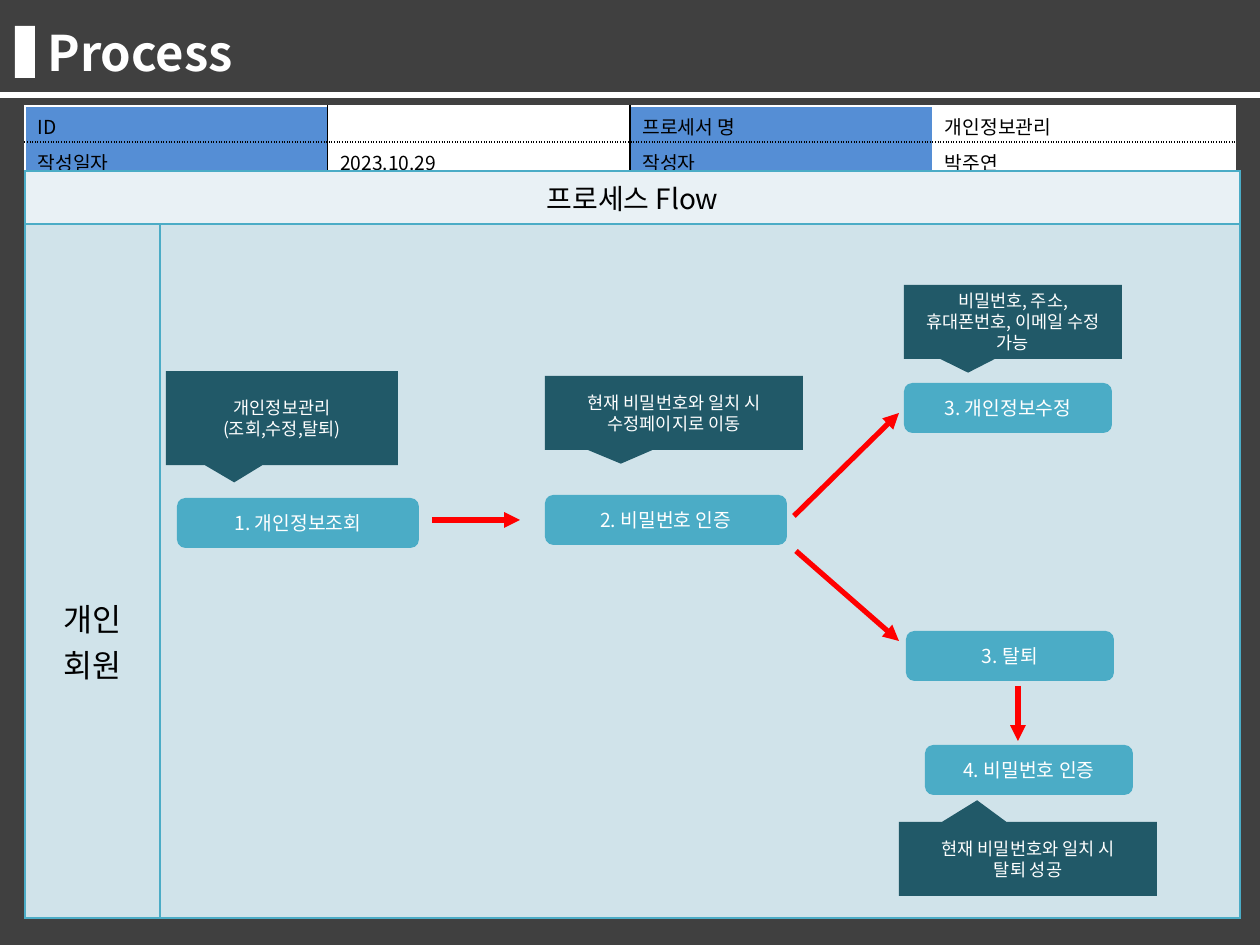
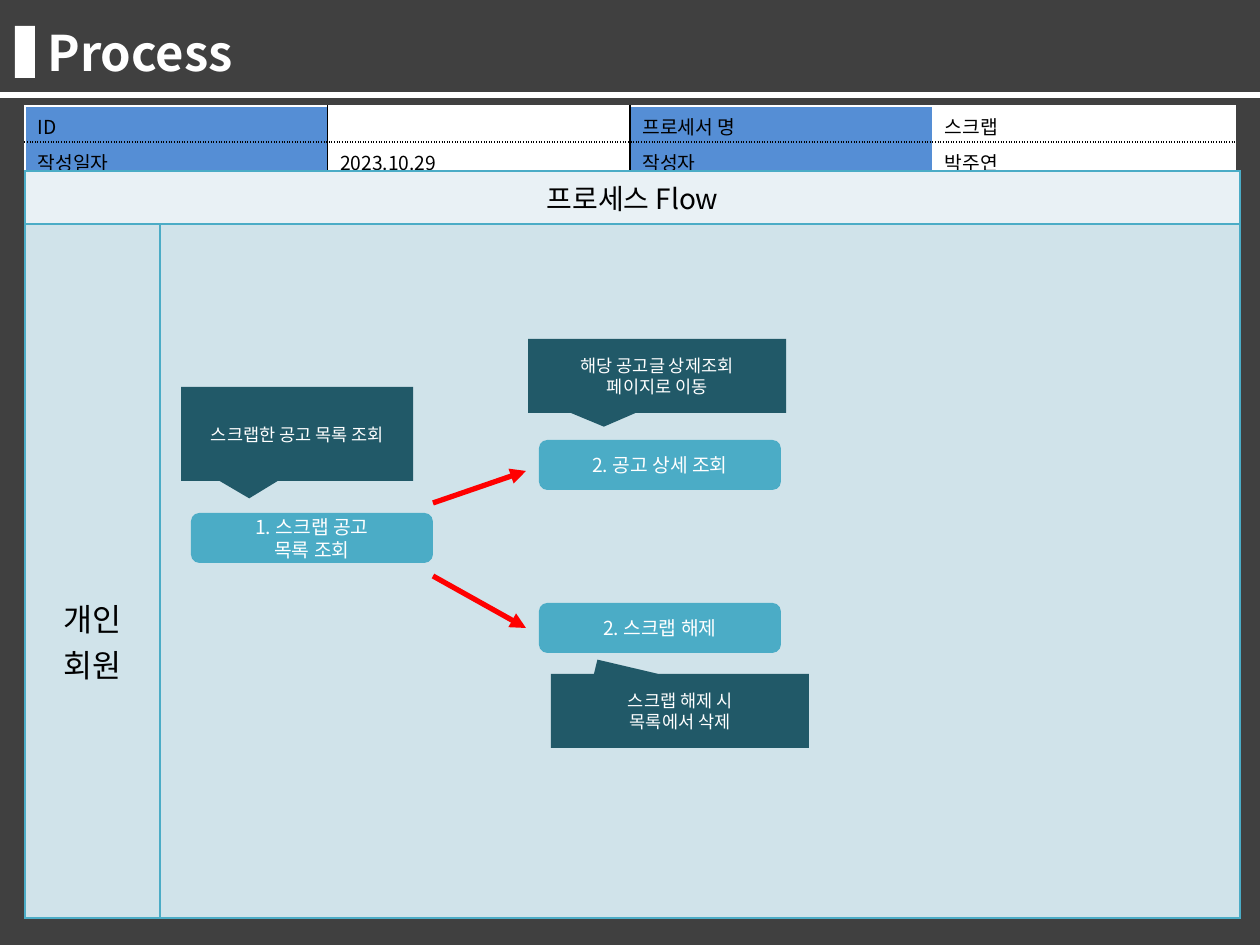
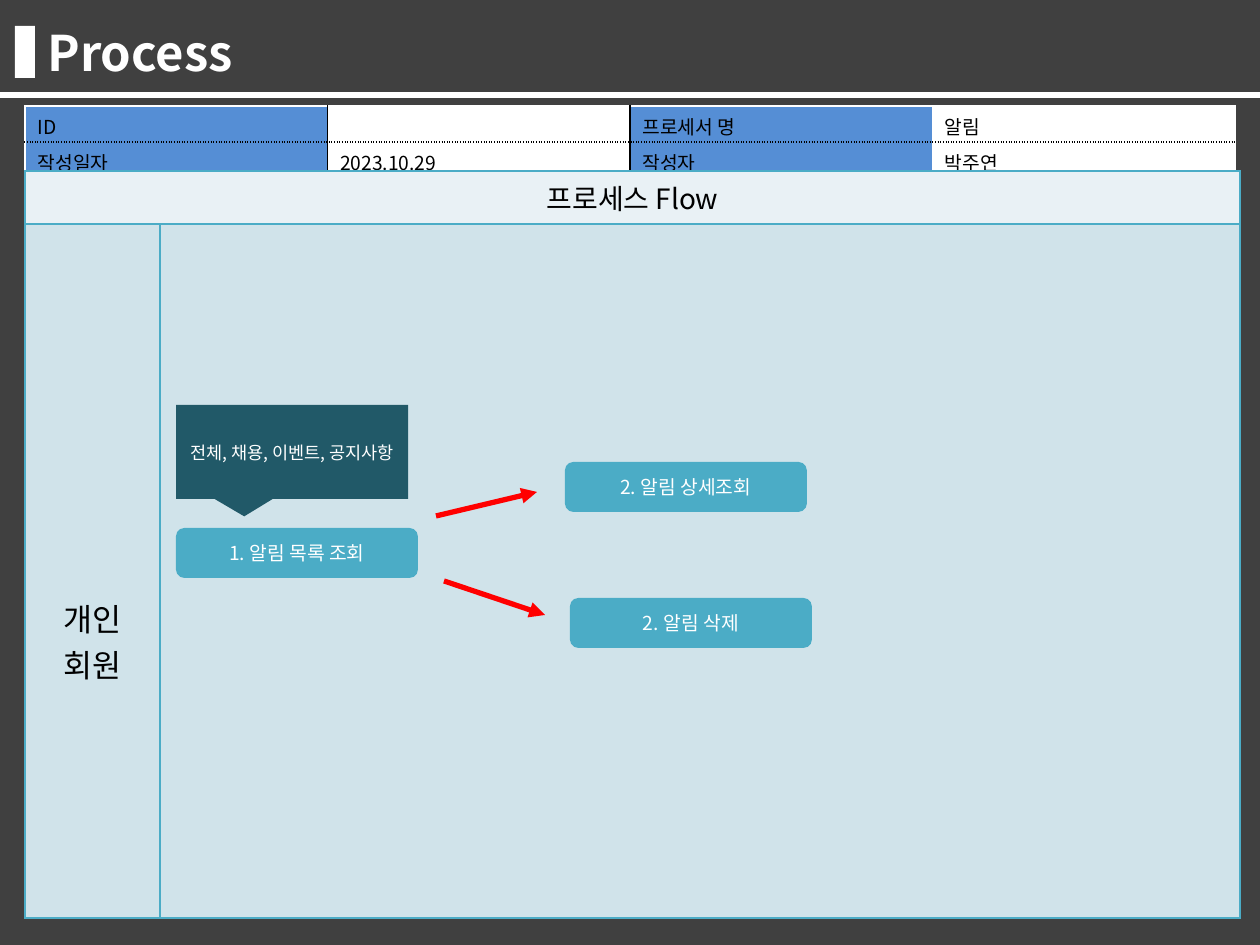
from lxml.etree import SubElement
from pptx import Presentation
from pptx.dml.color import RGBColor
from pptx.enum.shapes import MSO_CONNECTOR, MSO_SHAPE
from pptx.enum.text import MSO_ANCHOR, PP_ALIGN
from pptx.oxml.ns import qn
from pptx.util import Emu, Pt

FONT = "Noto Sans CJK KR"
WHITE = RGBColor(0xFF, 0xFF, 0xFF)
BLACK = RGBColor(0, 0, 0)
DARK = RGBColor(0x40, 0x40, 0x40)
LABEL_BLUE = RGBColor(0x55, 0x8E, 0xD5)
TEAL = RGBColor(0x4B, 0xAC, 0xC6)
NOTE_TEAL = RGBColor(0x21, 0x59, 0x68)
HEAD_TINT = RGBColor(0xE9, 0xF1, 0xF5)
BODY_TINT = RGBColor(0xD0, 0xE3, 0xEA)
RED = RGBColor(0xFF, 0, 0)

PX = 914400 // 126
WIDTH, HEIGHT = 1260, 945
STEP_H = 50
WIDE, NARROW = 242, 208
BIG, MEDIUM, SMALL = (232, 94), (258, 74), (218, 74)
DOWN, UP, UP_LEFT = (-0.206, 0.685), (-0.197, -0.793), (-0.32, -0.694)

TITLE = "Process"
FLOW_TITLE = "프로세스 Flow"
ROLE = ["개인", "회원"]
DATE, AUTHOR = "2023.10.29", "박주연"

SLIDES = [
    {
        "name": "개인정보관리",
        "steps": [
            (545, 495, WIDE, ["2. 비밀번호 인증"]),
            (904, 383, NARROW, ["3. 개인정보수정"]),
            (177, 498, WIDE, ["1. 개인정보조회"]),
            (906, 631, NARROW, ["3. 탈퇴"]),
            (925, 745, NARROW, ["4. 비밀번호 인증"]),
        ],
        "notes": [
            (166, 371, BIG, DOWN, ["개인정보관리", "(조회,수정,탈퇴)"]),
            (545, 376, MEDIUM, DOWN, ["현재 비밀번호와 일치 시", "수정페이지로 이동"]),
            (904, 285, SMALL, DOWN, ["비밀번호, 주소, 휴대폰번호, 이메일 수정 가능"]),
            (899, 822, MEDIUM, UP, ["현재 비밀번호와 일치 시", "탈퇴 성공"]),
        ],
        "arrows": [
            (432, 520, 520, 520), (794, 516, 899, 413),
            (796, 551, 899, 641), (1018, 686, 1018, 741),
        ],
    },
    {
        "name": "스크랩",
        "steps": [
            (539, 440, WIDE, ["2. 공고 상세 조회"]),
            (539, 603, WIDE, ["2. 스크랩 해제"]),
            (191, 513, WIDE, ["1. 스크랩 공고", "목록 조회"]),
        ],
        "notes": [
            (181, 387, BIG, DOWN, ["스크랩한 공고 목록 조회"]),
            (528, 339, MEDIUM, DOWN, ["해당 공고글 상제조회", "페이지로 이동"]),
            (551, 674, MEDIUM, UP_LEFT, ["스크랩 해제 시", "목록에서 삭제"]),
        ],
        "arrows": [(433, 503, 526, 471), (433, 576, 526, 628)],
    },
    {
        "name": "알림",
        "steps": [
            (565, 462, WIDE, ["2. 알림 상세조회"]),
            (176, 528, WIDE, ["1. 알림 목록 조회"]),
            (570, 598, WIDE, ["2. 알림 삭제"]),
        ],
        "notes": [(176, 405, BIG, DOWN, ["전체, 채용, 이벤트, 공지사항"])],
        "arrows": [(436, 516, 537, 492), (444, 581, 545, 615)],
    },
]


def px(*values):
    return [Emu(round(v * PX)) for v in values]


def write(tf, lines, size, color, align=PP_ALIGN.LEFT, bold=False):
    tf.word_wrap = True
    for i, line in enumerate(lines):
        p = tf.paragraphs[0] if i == 0 else tf.add_paragraph()
        p.alignment = align
        r = p.add_run()
        r.text = line
        r.font.size, r.font.bold, r.font.name = Pt(size), bold, FONT
        r.font.color.rgb = color
        SubElement(r._r.get_or_add_rPr(), qn("a:ea"), typeface=FONT)


def add_box(slide, kind, box, fill, lines=(), size=11, adj=()):
    sp = slide.shapes.add_shape(kind, *px(*box))
    sp.shadow.inherit = False
    sp.fill.solid()
    sp.fill.fore_color.rgb = fill
    sp.line.fill.background()
    for i, value in enumerate(adj):
        sp.adjustments[i] = value
    sp.text_frame.vertical_anchor = MSO_ANCHOR.MIDDLE
    write(sp.text_frame, lines, size, WHITE, PP_ALIGN.CENTER)


def add_arrow(slide, ends):
    line = slide.shapes.add_connector(MSO_CONNECTOR.STRAIGHT, *px(*ends))
    line.line.color.rgb = RED
    line.line.width = Pt(3)
    SubElement(line.line._get_or_add_ln(), qn("a:tailEnd"), type="triangle")
    SubElement(line._element.spPr, qn("a:effectLst"))


def add_grid(slide, x, y, cols, rows):
    shape = slide.shapes.add_table(len(rows), len(cols), *px(x, y, sum(cols), sum(rows)))
    table = shape.table
    table.first_row = table.horz_banding = False
    for col, width in zip(table.columns, px(*cols)):
        col.width = width
    for row, height in zip(table.rows, px(*rows)):
        row.height = height
    return table


def style_cell(cell, fill, left, right, top, bottom):
    tcPr = cell._tc.get_or_add_tcPr()
    for side, (color, dash) in zip("LRTB", (left, right, top, bottom)):
        ln = SubElement(tcPr, qn("a:ln" + side), w=str(Pt(1)))
        SubElement(SubElement(ln, qn("a:solidFill")), qn("a:srgbClr"), val=str(color))
        SubElement(ln, qn("a:prstDash"), val=dash)
    cell.fill.solid()
    cell.fill.fore_color.rgb = fill


def add_info_table(slide, name):
    rows = [["ID", "", "프로세서 명", name], ["작성일자", DATE, "작성자", AUTHOR]]
    white, black, dotted = (WHITE, "solid"), (BLACK, "solid"), (BLACK, "sysDot")
    across = [white, black, black, white, white]
    down = [white, dotted, black]
    table = add_grid(slide, 25, 106, [302.5] * 4, [36] * 2)
    for i, row in enumerate(rows):
        for j, text in enumerate(row):
            cell = table.cell(i, j)
            style_cell(cell, WHITE if j % 2 else LABEL_BLUE,
                       across[j], across[j + 1], down[i], down[i + 1])
            cell.margin_top, cell.margin_bottom = px(6, 0)
            if text:
                write(cell.text_frame, [text], 11, BLACK)
            else:
                p = cell.text_frame.paragraphs[0]
                SubElement(p._p, qn("a:endParaRPr"), sz="1100")


def add_flow_table(slide):
    table = add_grid(slide, 25, 171, [135, 1080], [53, 694])
    edge = (TEAL, "solid")
    for i, fill in enumerate([HEAD_TINT, BODY_TINT]):
        for j in range(2):
            style_cell(table.cell(i, j), fill, edge, edge, edge, edge)
    head, role = table.cell(0, 0), table.cell(1, 0)
    head.merge(table.cell(0, 1))
    write(head.text_frame, [FLOW_TITLE], 16, BLACK, PP_ALIGN.CENTER)
    role.margin_top = px(371)[0]
    write(role.text_frame, ROLE, 18, BLACK, PP_ALIGN.CENTER)


def add_frame(slide, name):
    add_box(slide, MSO_SHAPE.RECTANGLE, (0, 0, WIDTH, HEIGHT), DARK)
    title = slide.shapes.add_textbox(*px(35, 16, 1132, 72))
    write(title.text_frame, [TITLE], 28, WHITE, bold=True)
    for box in [(15, 26, 20, 52), (0, 92, WIDTH, 6)]:
        add_box(slide, MSO_SHAPE.RECTANGLE, box, WHITE)
    add_info_table(slide, name)
    add_flow_table(slide)


prs = Presentation()
prs.slide_width, prs.slide_height = px(WIDTH, HEIGHT)
for content in SLIDES:
    s = prs.slides.add_slide(prs.slide_layouts[6])
    add_frame(s, content["name"])
    for x, y, width, lines in content["steps"]:
        add_box(s, MSO_SHAPE.ROUNDED_RECTANGLE, (x, y, width, STEP_H), TEAL, lines)
    for x, y, size, pointer, lines in content["notes"]:
        add_box(s, MSO_SHAPE.RECTANGULAR_CALLOUT, (x, y, *size), NOTE_TEAL, lines, 10, pointer)
    for ends in content["arrows"]:
        add_arrow(s, ends)
prs.save("out.pptx")
